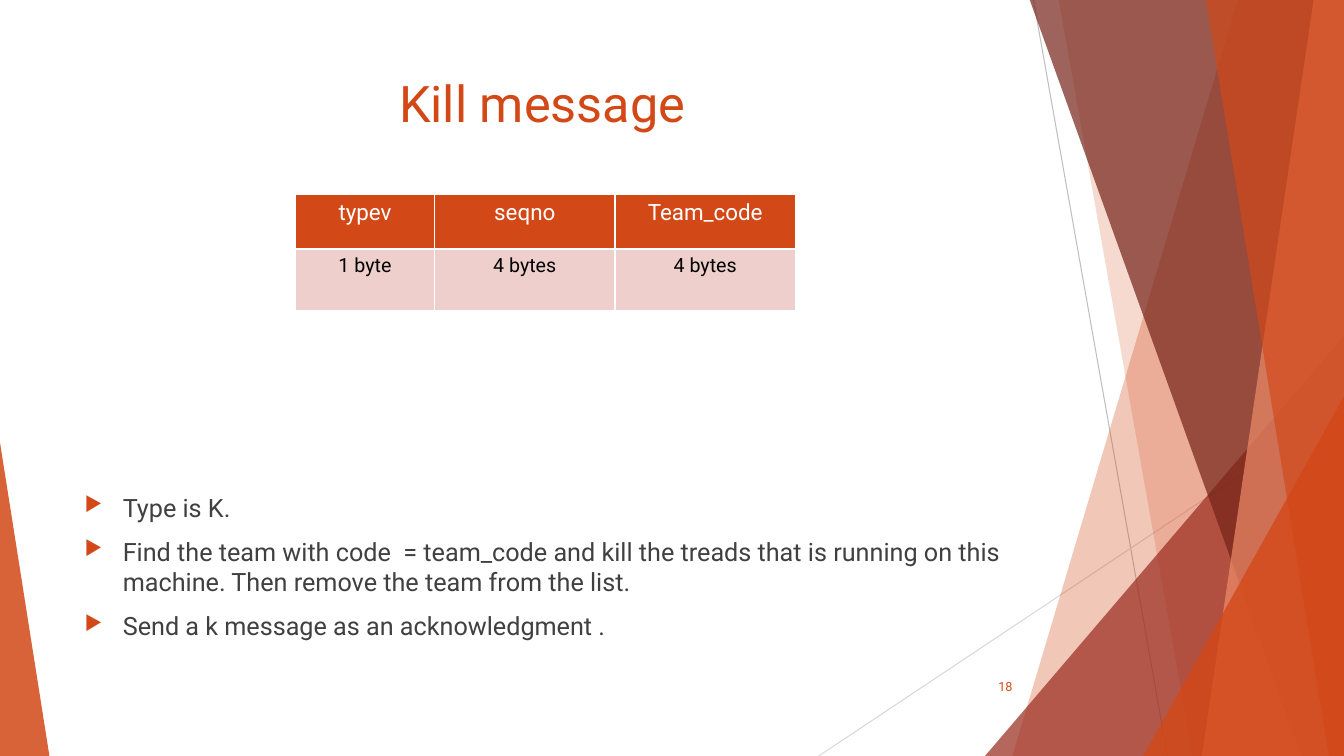
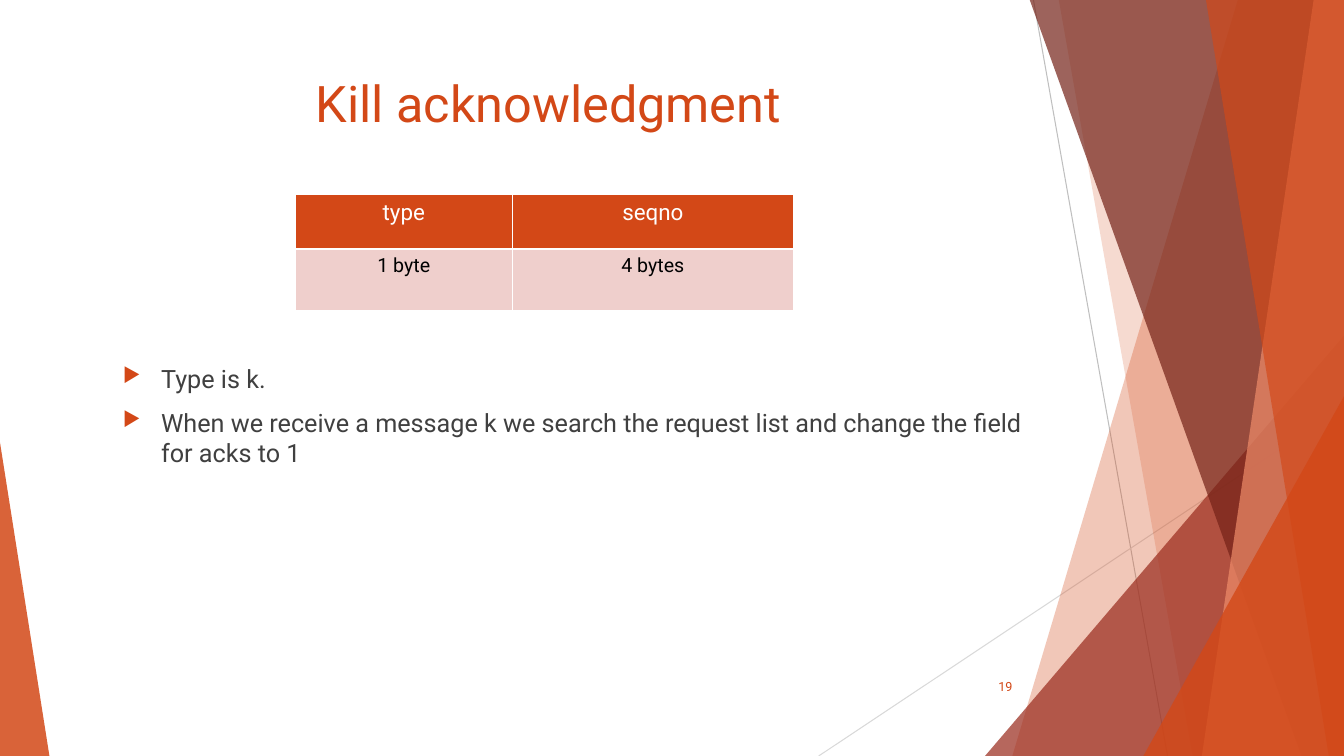
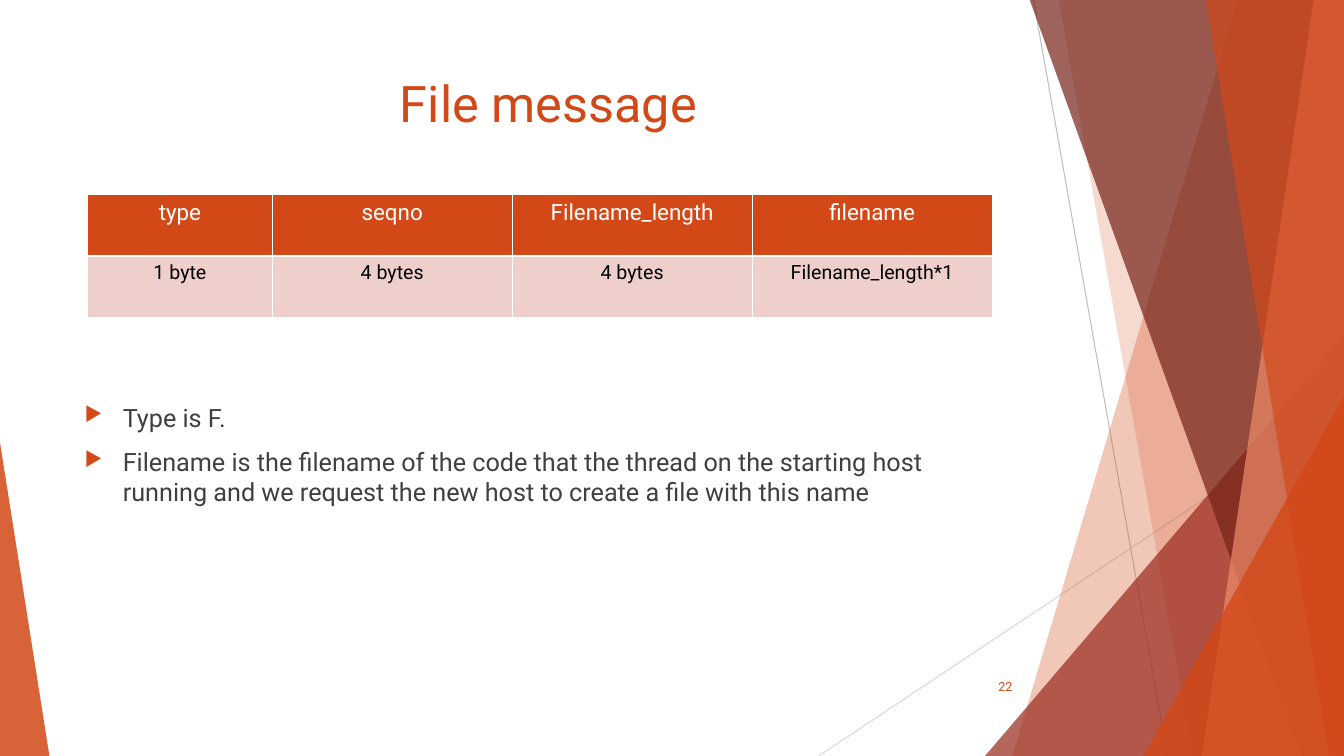
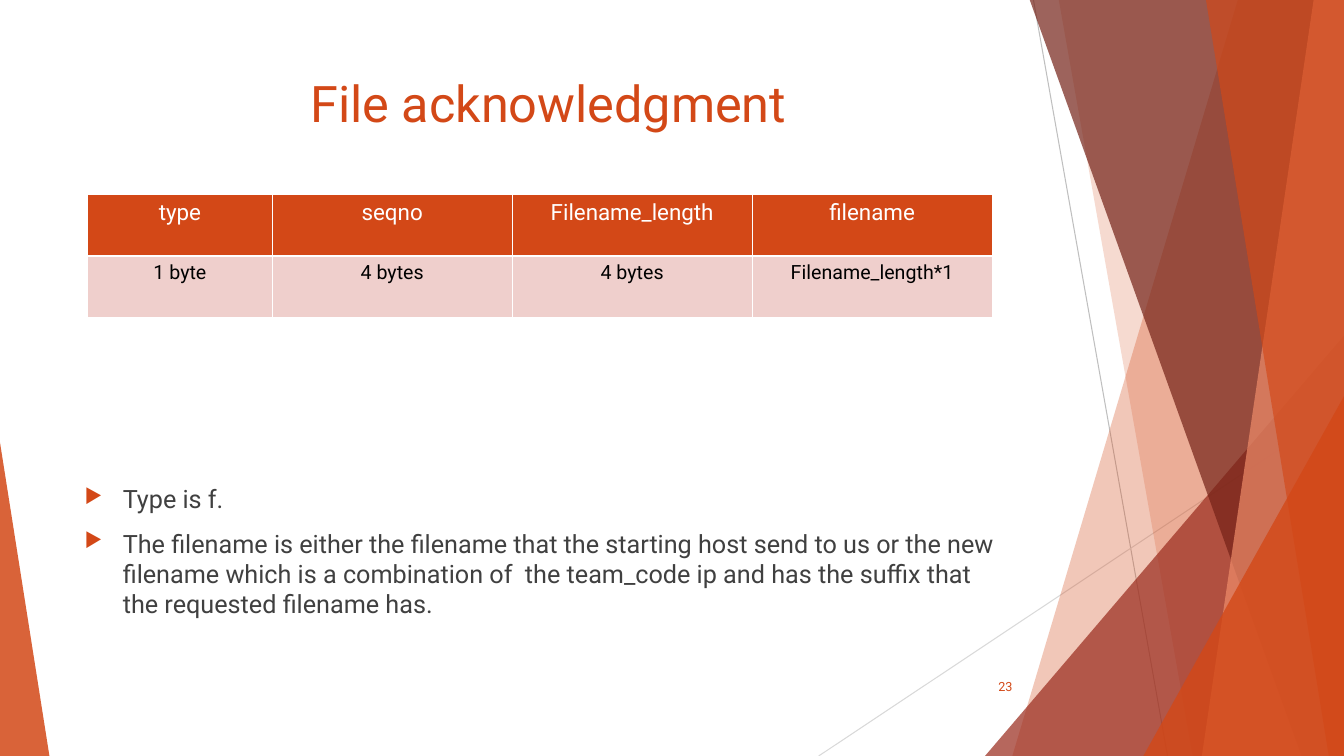
from lxml.etree import SubElement
from pptx import Presentation
from pptx.dml.color import RGBColor
from pptx.enum.shapes import MSO_CONNECTOR, MSO_SHAPE
from pptx.enum.text import MSO_ANCHOR, PP_ALIGN
from pptx.oxml.ns import qn
from pptx.util import Inches, Pt

WIDTH, HEIGHT = 13.33, 7.5
ACCENT, WHITE = "D34817", "FFFFFF"
TITLE = {"size": 36, "color": ACCENT}
BODY = {"size": 18, "color": "404040"}
NUMBER = {"size": 9, "color": ACCENT}
HEADER_CELL = {"size": 16, "color": WHITE}
VALUE_CELL = {"size": 14, "color": "000000"}

LINES = [(10.25, 0, 11.58, 7.5, "BFBFBF"), (13.33, 4.03, 8.12, 7.5, "D9D9D9")]
FACETS = [
    ("band", (12.28, 10.04), ACCENT, 30),
    ("band", (10.5, 11.83), ACCENT, 20),
    ("triangle", (9.77, 3.33, 3.56, 1), "9B2D1F", 72),
    ("band", (10.21, 12.91), "742217", 70),
    ("band", (13.03, 11.92), "EF8C6A", 70),
    ("band", (11.96, 13.18), ACCENT, 65),
    ("triangle", (11.34, 3.93, 1.99, 1), ACCENT, 80),
    ("triangle", (0, 4.39, 0.49, 0), ACCENT, 85),
]

FILE_TABLE = {
    "box": (0.87, 1.93), "cols": [1.83, 2.38, 2.38, 2.38], "rows": [0.61, 0.61],
    "cells": [["type", "seqno", "Filename_length", "filename"],
              ["1 byte", "4 bytes", "4 bytes", "Filename_length*1"]],
}
SLIDES = [
    {"title": "Kill message ", "number": "18", "body": (0.74, 4.83, 9.4, 1.78),
     "table": {"box": (2.93, 1.93), "cols": [1.38, 1.79, 1.79], "rows": [0.54, 0.61],
               "cells": [["typev", "seqno", "Team_code"],
                         ["1 byte", "4 bytes", "4 bytes"]]},
     "bullets": ["Type is K.",
                 "Find the team with code  = team_code and kill the treads that is running "
                 "on this machine. Then remove the team from the list.",
                 "Send a k message as an acknowledgment ."]},
    {"title": "Kill acknowledgment", "number": "19", "body": (1.12, 3.55, 9.4, 1.25),
     "table": {"box": (2.93, 1.93), "cols": [2.15, 2.79], "rows": [0.54, 0.61],
               "cells": [["type", "seqno"], ["1 byte", "4 bytes"]]},
     "bullets": ["Type is k.",
                 "When we receive a message k we search the request list and change "
                 "the field for acks to 1"]},
    {"title": "File message", "number": "22", "body": (0.74, 3.94, 9.4, 2.66),
     "table": FILE_TABLE,
     "bullets": ["Type is F.",
                 "Filename is the filename of the code that the thread on the starting host "
                 "running and we request the new host to create a file with this name"]},
    {"title": "File acknowledgment", "number": "23", "body": (0.74, 4.75, 9.4, 1.86),
     "table": FILE_TABLE,
     "bullets": ["Type is f.",
                 "The filename is either the filename that the starting host send to us or "
                 "the new filename which is a combination of  the team_code ip and has the "
                 "suffix that the requested filename has."]},
]


def rgb(color):
    return RGBColor.from_string(color)


def inches(values):
    return [Inches(v) for v in values]


def write(p, text, style, align=PP_ALIGN.LEFT):
    p.alignment = align
    r = p.add_run()
    r.text = text
    font = {"name": "Roboto", "size": Pt(style["size"])}
    for key, value in font.items():
        setattr(r.font, key, value)
    r.font.color.rgb = rgb(style["color"])


def add_text_frame(s, box, anchor=MSO_ANCHOR.TOP):
    tf = s.shapes.add_textbox(*inches(box)).text_frame
    tf.word_wrap = True
    tf.vertical_anchor = anchor
    return tf


def add_line(s, x1, y1, x2, y2, color):
    line = s.shapes.add_connector(MSO_CONNECTOR.STRAIGHT, *inches((x1, y1, x2, y2)))
    line.line.color.rgb = rgb(color)
    line.line.width = Pt(0.75)
    SubElement(line._element.spPr, qn("a:effectLst"))


def add_band(s, top_x, bottom_x):
    top = -0.01
    points = [inches(pt) for pt in
              ((WIDTH, top), (WIDTH, HEIGHT), (bottom_x, HEIGHT))]
    outline = s.shapes.build_freeform(Inches(top_x), Inches(top))
    outline.add_line_segments(points, close=True)
    return outline.convert_to_shape()


def add_triangle(s, left, top, width, apex):
    sp = s.shapes.add_shape(MSO_SHAPE.ISOSCELES_TRIANGLE,
                            *inches((left, top, width, HEIGHT - top)))
    sp.adjustments[0] = apex
    return sp


def add_backdrop(s):
    makers = {"band": add_band, "triangle": add_triangle}
    for line in LINES:
        add_line(s, *line)
    for kind, geometry, color, opacity in FACETS:
        sp = makers[kind](s, *geometry)
        sp.shadow.inherit = False
        sp.fill.solid()
        sp.fill.fore_color.rgb = rgb(color)
        sp.line.fill.background()
        clr = next(sp._element.spPr.iter(qn("a:srgbClr")))
        SubElement(clr, qn("a:alpha"), val=str(opacity * 1000))


def add_bullets(s, box, bullets):
    tf = add_text_frame(s, box)
    for i, text in enumerate(bullets):
        p = tf.add_paragraph() if i else tf.paragraphs[0]
        write(p, text, BODY)
        p.space_before = Pt(10)
        pPr = p._p.get_or_add_pPr()
        pPr.set("marL", str(Inches(0.38)))
        pPr.set("indent", str(-Inches(0.38)))
        SubElement(SubElement(pPr, qn("a:buClr")), qn("a:srgbClr"), val=ACCENT)
        SubElement(pPr, qn("a:buSzPct"), val="80000")
        SubElement(pPr, qn("a:buChar"), char="▶")


def add_borders(cell):
    tcPr = cell._tc.get_or_add_tcPr()
    for side in ("lnL", "lnR", "lnT", "lnB"):
        ln = SubElement(tcPr, qn("a:" + side), w=str(Pt(1)))
        SubElement(SubElement(ln, qn("a:solidFill")), qn("a:srgbClr"), val=WHITE)


def add_field_table(s, box, cols, rows, cells):
    size = (sum(cols), sum(rows))
    table = s.shapes.add_table(len(rows), len(cols), *inches(box + size)).table
    for col, width in zip(table.columns, cols):
        col.width = Inches(width)
    for row, height in zip(table.rows, rows):
        row.height = Inches(height)
    looks = [(HEADER_CELL, ACCENT), (VALUE_CELL, "EFCFCC")]
    for row, texts, (style, fill) in zip(table.rows, cells, looks):
        for cell, text in zip(row.cells, texts):
            add_borders(cell)
            cell.fill.solid()
            cell.fill.fore_color.rgb = rgb(fill)
            write(cell.text_frame.paragraphs[0], text, style, PP_ALIGN.CENTER)


def add_message_slide(prs, title, number, body, table, bullets):
    s = prs.slides.add_slide(prs.slide_layouts[6])
    add_backdrop(s)
    tf = add_text_frame(s, (0.74, 0.67, 9.4, 1.44))
    write(tf.paragraphs[0], title, TITLE, PP_ALIGN.CENTER)
    add_bullets(s, body, bullets)
    tf = add_text_frame(s, (9.39, 6.61, 0.75, 0.4), MSO_ANCHOR.MIDDLE)
    write(tf.paragraphs[0], number, NUMBER, PP_ALIGN.RIGHT)
    add_field_table(s, **table)


def main():
    prs = Presentation()
    prs.slide_width, prs.slide_height = inches((WIDTH, HEIGHT))
    for slide in SLIDES:
        add_message_slide(prs, **slide)
    prs.save("out.pptx")


if __name__ == "__main__":
    main()
